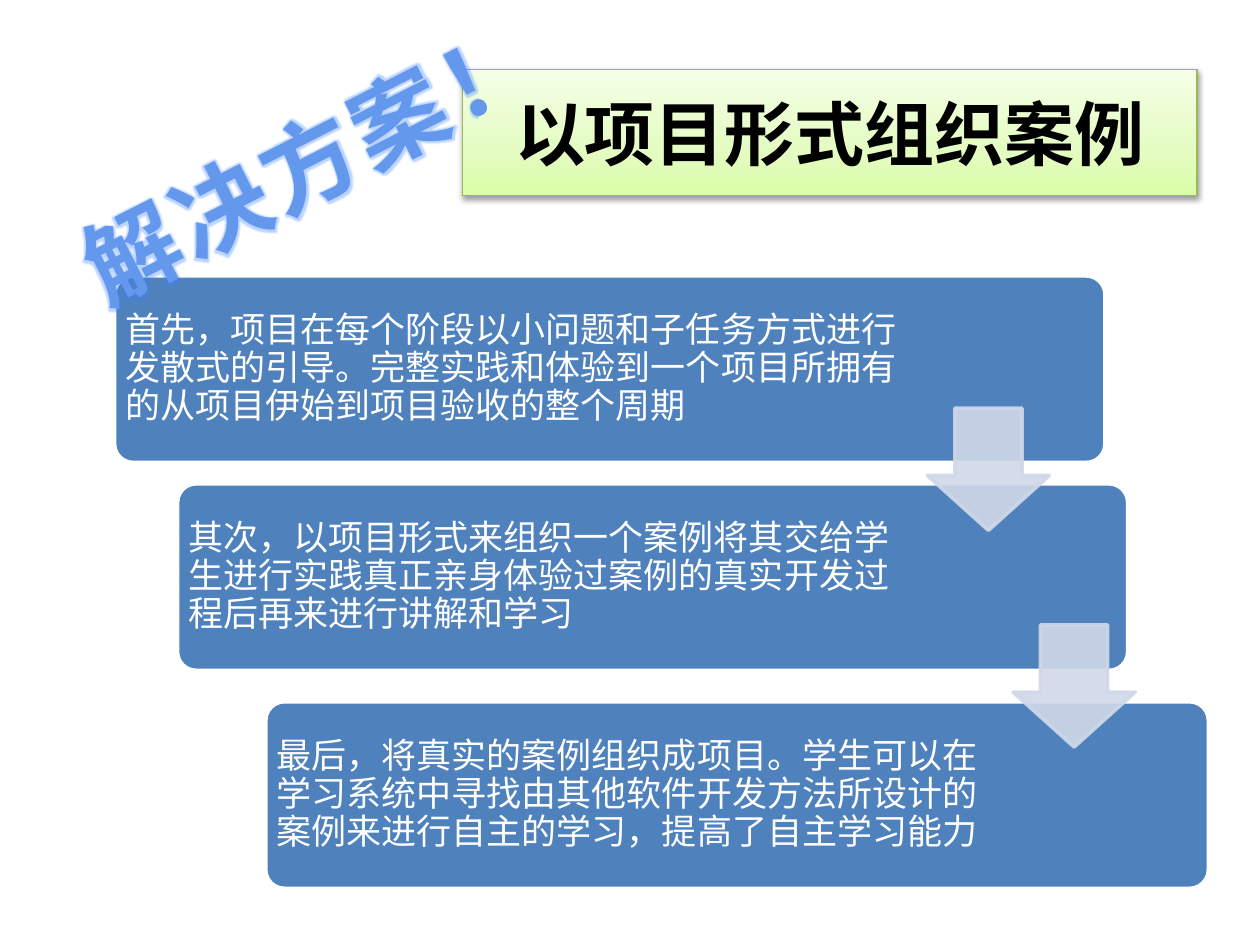
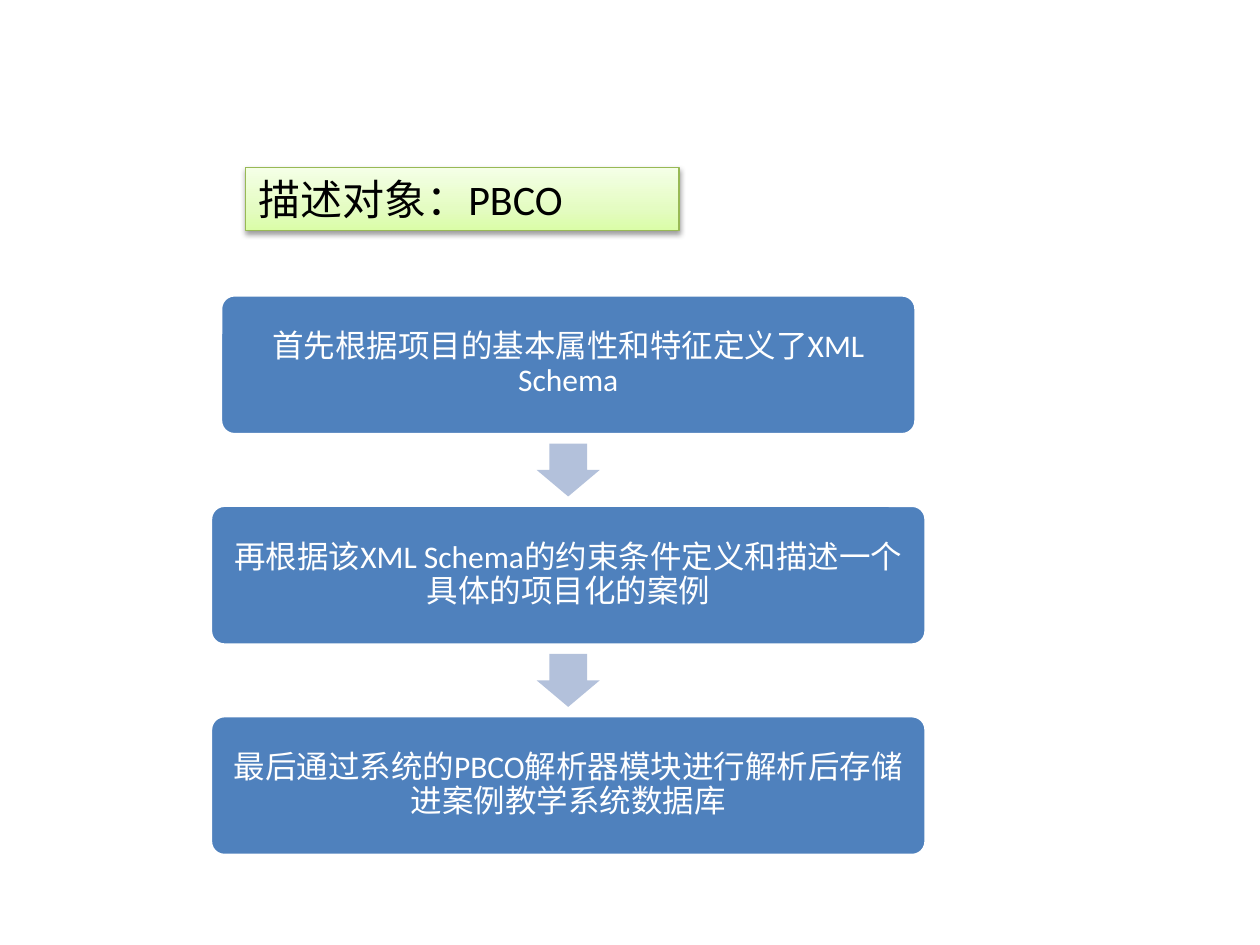
from dataclasses import dataclass

from pptx import Presentation
from pptx.dml.color import RGBColor as Rgb
from pptx.enum.shapes import MSO_SHAPE as Kind
from pptx.enum.text import MSO_ANCHOR as Anchor, MSO_AUTO_SIZE as Fit, PP_ALIGN as Align
from pptx.oxml import parse_xml as to_xml
from pptx.oxml.ns import nsdecls as names
from pptx.util import Inches, Pt

BLUE, PALE, MIST = "4F81BD", "D0D8E8", "B3C1DB"
WHITE, BLACK, LIME = "FFFFFF", "000000", "98B955"
GREENS = ((0, "DAFDA7"), (35, "E4FCC2"), (100, "F5FFE7"))
BLUES = ((10, "6398ED"), (75, "265EA0"))
NS = names("a")


@dataclass
class Box:
    """A place on the slide, in inches."""
    x: float
    y: float
    w: float
    h: float


@dataclass
class Step:
    """A rounded panel whose text fills the given span of its width."""
    box: Box
    span: float
    text: str


def color(code: str) -> Rgb:
    """Turn a hex string into a colour."""
    return Rgb.from_string(code)


def place(box: Box) -> tuple:
    """Give the four lengths of a box."""
    return tuple(Inches(n) for n in (box.x, box.y, box.w, box.h))


def blend(stops: tuple, angle: int):
    """Build a linear gradient fill."""
    marks = "".join(f'<a:gs pos="{at * 1000}"><a:srgbClr val="{code}"/></a:gs>' for at, code in stops)
    return to_xml(f'<a:gradFill {NS} rotWithShape="1"><a:gsLst>{marks}</a:gsLst>'
                  f'<a:lin ang="{angle * 60000}" scaled="0"/></a:gradFill>')


def write(frame, text: str, size: float, align, bold: bool = False, tint: str = BLACK):
    """Write one formatted paragraph and return its run."""
    para = frame.paragraphs[0]
    para.alignment = align
    run = para.add_run()
    run.text = text
    look = {"name": "Calibri", "size": Pt(size), "bold": bold}
    for key, val in look.items():
        setattr(run.font, key, val)
    run.font.color.rgb = color(tint)
    return run


def head(slide, box: Box, text: str, size: float, align, bold: bool) -> None:
    """Format the title as a green band with a soft shadow."""
    shape = slide.shapes.title
    for key, val in zip(("left", "top", "width", "height"), place(box)):
        setattr(shape, key, val)
    props = shape._element.spPr
    props.append(blend(GREENS, 270))
    shape.line.color.rgb = color(LIME)
    shape.line.width = Pt(0.75)
    props.append(to_xml(
        f'<a:effectLst {NS}><a:outerShdw blurRad="40000" dist="20000" dir="5400000" rotWithShape="0">'
        f'<a:srgbClr val="{BLACK}"><a:alpha val="38000"/></a:srgbClr></a:outerShdw></a:effectLst>'))
    look = {"auto_size": Fit.NONE, "word_wrap": True, "vertical_anchor": Anchor.MIDDLE}
    for key, val in look.items():
        setattr(shape.text_frame, key, val)
    write(shape.text_frame, text, size, align, bold)


def draw(slide, kind, box: Box, fill: str, edge: str, adjust: tuple):
    """Draw a flat preset shape, with a line if an edge colour is given."""
    shape = slide.shapes.add_shape(kind, *place(box))
    shape.shadow.inherit = False
    for i, part in enumerate(adjust):
        shape.adjustments[i] = part
    shape.fill.solid()
    shape.fill.fore_color.rgb = color(fill)
    if edge:
        shape.line.color.rgb = color(edge)
        shape.line.width = Pt(2)
    else:
        shape.line.fill.background()
    return shape


def panel(slide, step: Step, size: float, align) -> None:
    """Draw a step with its text."""
    shape = draw(slide, Kind.ROUNDED_RECTANGLE, step.box, BLUE, WHITE, (0.1,))
    pad = 0.04
    look = {"word_wrap": True, "vertical_anchor": Anchor.MIDDLE,
            "margin_left": Inches(pad), "margin_top": Inches(pad), "margin_bottom": Inches(pad),
            "margin_right": Inches(step.box.w - step.span + pad)}
    for key, val in look.items():
        setattr(shape.text_frame, key, val)
    write(shape.text_frame, step.text, size, align, tint=WHITE)
    shape.text_frame.paragraphs[0].line_spacing = 0.9


def arrow(slide, box: Box, fill: str, edge: str, adjust: tuple, alpha: int = 100) -> None:
    """Draw a down arrow, see-through when alpha is below 100."""
    shape = draw(slide, Kind.DOWN_ARROW, box, fill, edge, adjust)
    if alpha < 100:
        for node in shape._element.spPr.xpath(".//a:srgbClr"):
            node.append(to_xml(f'<a:alpha {NS} val="{alpha * 1000}"/>'))


def shout(slide, box: Box, text: str) -> None:
    """Add the tilted, glowing headline."""
    shape = slide.shapes.add_textbox(*place(box))
    shape.rotation = 333
    shape.text_frame.word_wrap = False
    run = write(shape.text_frame, text, 54, Align.CENTER, True)
    props = run.font._element
    props.set("spc", "300")
    props.remove(props.xpath("a:solidFill")[0])
    edge = to_xml(f'<a:ln {NS} w="11430"><a:solidFill><a:srgbClr val="F4F6F9"/></a:solidFill></a:ln>')
    glow = to_xml(f'<a:effectLst {NS}><a:glow rad="45500"><a:srgbClr val="3A82FF">'
                  '<a:alpha val="35000"/></a:srgbClr></a:glow></a:effectLst>')
    for i, node in enumerate((edge, blend(BLUES, 90), glow)):
        props.insert(i, node)


def plan(deck) -> None:
    """Build the slide on organising cases as projects."""
    slide = deck.slides.add_slide(deck.slide_layouts[5])
    head(slide, Box(3.67, 0.55, 5.83, 1), "以项目形式组织案例", 40, Align.CENTER, True)
    tall = 1.48
    steps = (
        Step(Box(0.91, 2.19, 7.86, tall), 6.3,
             "首先，项目在每个阶段以小问题和子任务方式进行发散式的引导。完整实践和体验到一个项目所拥有的从项目伊始到项目验收的整个周期"),
        Step(Box(1.41, 3.84, 7.54, tall), 5.92,
             "其次，以项目形式来组织一个案例将其交给学生进行实践真正亲身体验过案例的真实开发过程后再来进行讲解和学习"),
        Step(Box(2.11, 5.57, 7.48, tall), 5.88,
             "最后，将真实的案例组织成项目。学生可以在学习系统中寻找由其他软件开发方法所设计的案例来进行自主的学习，提高了自主学习能力"),
    )
    for step in steps:
        panel(slide, step, 20, Align.LEFT)
    for x, y in ((7.36, 3.24), (8.04, 4.96)):
        arrow(slide, Box(x, y, 0.97, 0.97), PALE, PALE, (0.55, 0.45), 90)
    shout(slide, Box(0.26, 0.95, 3.72, 1.01), "解决方案！")


def flow(deck) -> None:
    """Build the slide on the described object."""
    slide = deck.slides.add_slide(deck.slide_layouts[5])
    head(slide, Box(1.95, 1.33, 3.44, 0.5), "描述对象：PBCO", 24, Align.LEFT, False)
    mid, top, tall, pitch = 4.51, 2.34, 1.11, 1.67
    steps = (
        (5.52, "首先根据项目的基本属性和特征定义了XML Schema"),
        (5.68, "再根据该XML Schema的约束条件定义和描述一个具体的项目化的案例"),
        (5.68, "最后通过系统的PBCO解析器模块进行解析后存储进案例教学系统数据库"),
    )
    for i, (wide, text) in enumerate(steps):
        y = top + i * pitch
        if i:
            arrow(slide, Box(mid - 0.25, y - 0.49, 0.5, 0.42), MIST, "", (0.6, 0.5))
        panel(slide, Step(Box(mid - wide / 2, y, wide, tall), wide, text), 18, Align.CENTER)


def main() -> None:
    """Build and save the deck."""
    deck = Presentation()
    deck.slide_width, deck.slide_height = Inches(10), Inches(7.5)
    plan(deck)
    flow(deck)
    deck.save("out.pptx")


main()
